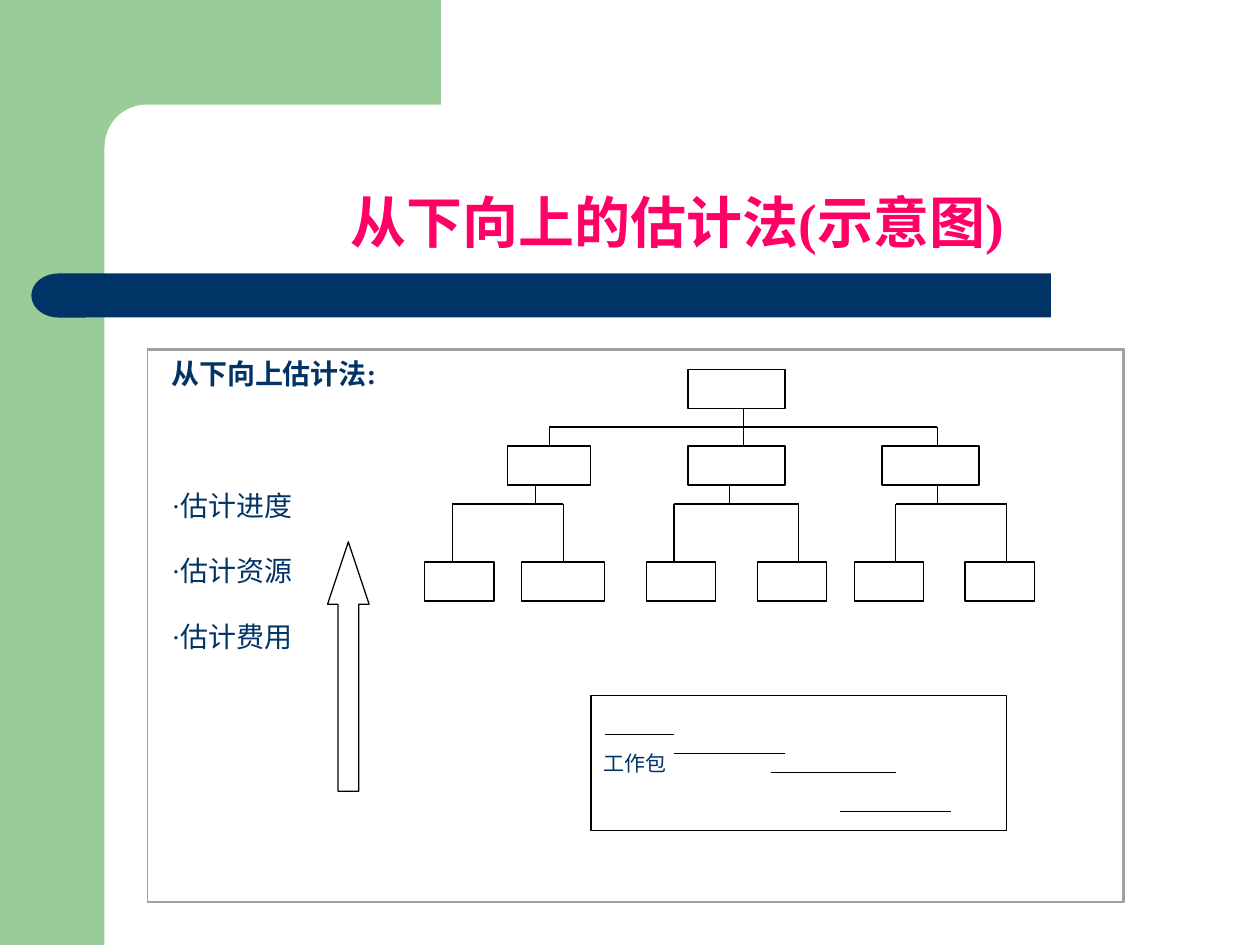
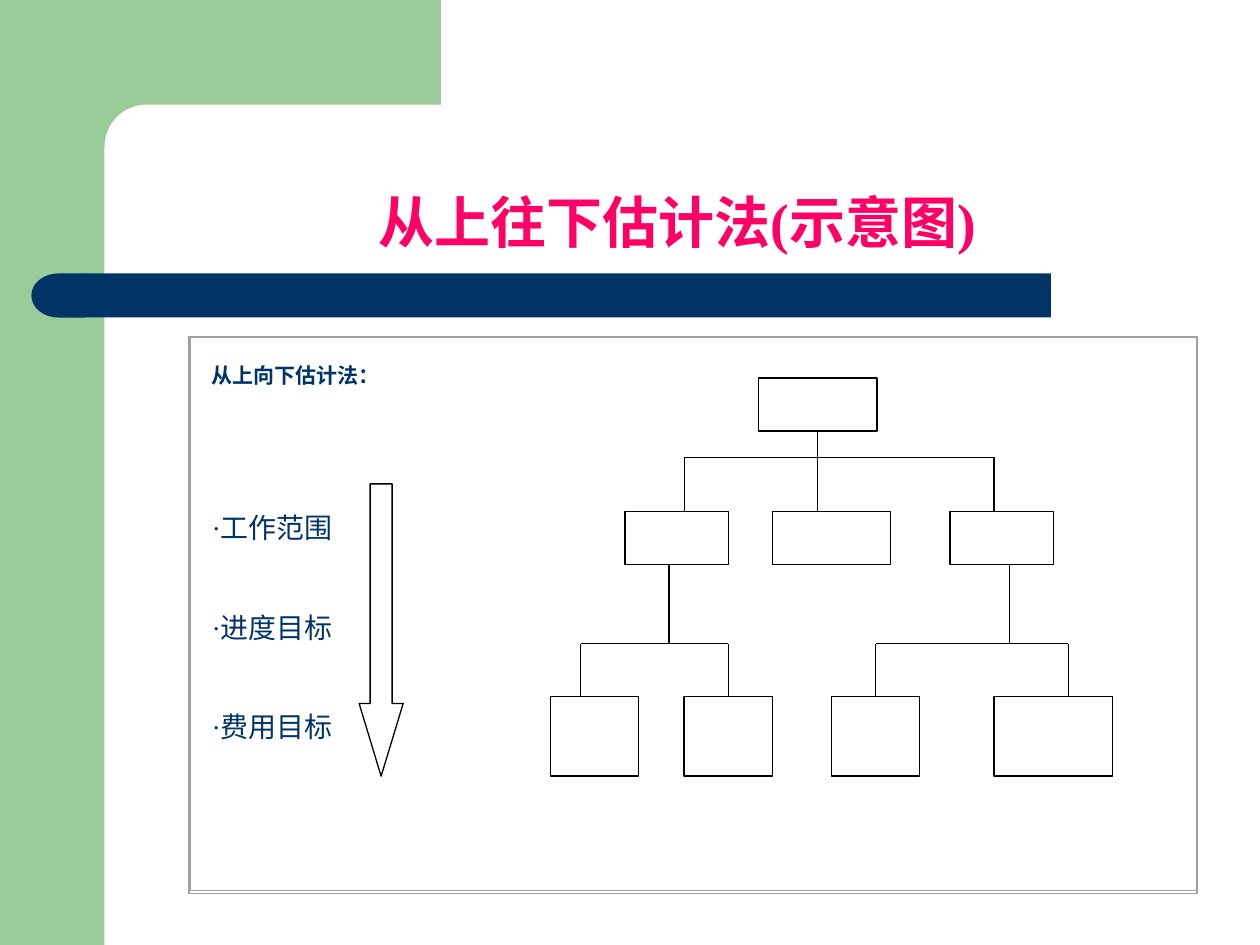
from pptx import Presentation
from pptx import util as u
from pptx.dml.color import RGBColor
from pptx.enum import shapes, text
from pptx.oxml.ns import qn
from lxml import etree

In, Pt = u.Inches, u.Pt
G = shapes.MSO_SHAPE
C = dict(green="99CC99", navy="003366", pink="FF0066", white="FFFFFF", black="000000", grey="A0A0A0")
TITLE = dict(name="Times New Roman", size=Pt(32), bold=True)
HEAD = dict(name="Times New Roman", bold=True)
ITEM = dict(name="Times New Roman", size=Pt(16), bold=False)
SMALL = dict(name="Times New Roman", size=Pt(12))


def box(s, at, fill="white", line="black", kind=G.RECTANGLE):
    sp = s.shapes.add_shape(kind, *map(In, at))
    sp.shadow.inherit = False
    if fill:
        sp.fill.solid()
        sp.fill.fore_color.rgb = RGBColor.from_string(C[fill])
    else:
        sp.fill.background()
    if line:
        sp.line.color.rgb = RGBColor.from_string(C[line])
        sp.line.width = Pt(0.75)
    else:
        sp.line.fill.background()
    return sp


def put(p, words, fmt, color):
    r = p.add_run()
    r.text = words
    for key, value in fmt.items():
        setattr(r.font, key, value)
    r.font.color.rgb = RGBColor.from_string(C[color])


# Box rows: top, height, [(left, width)]; rails: y, from x, to x; stems: from y, to y, [x]
SLIDES = [
    dict(
        title="从下向上的估计法(示意图)",
        body=(1.26, 2.78, 7.57, 3.03), head="从下向上估计法:", head_size=16,
        items=["·估计进度", "·估计资源", "·估计费用"], gaps=(56, 18.4, 18.4),
        arrow=(G.UP_ARROW, (2.6, 4.3, 0.33, 1.98), 1.5),
        rows=[(2.93, 0.31, [(5.46, 0.77)]),
              (3.54, 0.31, [(4.03, 0.66), (5.46, 0.77), (7, 0.77)]),
              (4.46, 0.31, [(3.37, 0.55), (4.14, 0.66), (5.13, 0.55),
                            (6.01, 0.55), (6.78, 0.55), (7.66, 0.55)])],
        rails=[(3.39, 4.36, 7.44), (4, 3.59, 4.47), (4, 5.35, 6.34), (4, 7.11, 7.99)],
        stems=[(3.24, 3.54, [5.9]), (3.39, 3.54, [4.36, 7.44]), (3.85, 4, [4.25, 5.79, 7.44]),
               (4, 4.46, [3.59, 4.47, 5.35, 6.34, 7.11, 7.99])],
        package=(4.69, 5.52, 3.3, 1.07),
        tasks=[(5.83, 4.8, 5.35), (5.98, 5.35, 6.23), (6.13, 6.12, 7.11), (6.44, 6.67, 7.55)],
        frames=[(1.17, 2.78, 7.74, 4.38), (1.17, 2.77, 7.75, 4.39)]),
    dict(
        title="从上往下估计法(示意图)",
        body=(1.58, 2.83, 6.69, 3.5), head="从上向下估计法：", head_size=12,
        items=["·工作范围", "·进度目标", "·费用目标"], gaps=(70, 37.8, 37.8),
        arrow=(G.DOWN_ARROW, (2.85, 3.84, 0.35, 2.32), 1.65),
        rows=[(3, 0.42, [(6.02, 0.94)]),
              (4.06, 0.42, [(4.96, 0.82), (6.13, 0.94), (7.54, 0.82)]),
              (5.53, 0.63, [(4.37, 0.7), (5.43, 0.7), (6.6, 0.7), (7.89, 0.94)])],
        rails=[(3.63, 5.43, 7.89), (5.11, 4.61, 5.78), (5.11, 6.95, 8.48)],
        stems=[(3.42, 4.06, [6.49]), (3.63, 4.06, [5.43, 7.89]), (4.48, 5.11, [5.31, 8.01]),
               (5.11, 5.53, [4.61, 5.78, 6.95, 8.48])],
        package=None, tasks=[],
        frames=[(1.51, 2.68, 7.99, 4.39), (1.5, 2.67, 8, 4.42)]),
]

prs = Presentation()
prs.slide_width, prs.slide_height = In(10), In(7.5)
layout = prs.slide_layouts[1]
pages = [prs.slides.add_slide(layout) for _ in SLIDES]

# Shared bands, moved to the layout behind its placeholders
bands = [
    (G.RECTANGLE, (0, 0, 0.83, 7.5), "green"),
    (G.RECTANGLE, (0.75, 0, 2.75, 1.17), "green"),
    (G.ROUNDED_RECTANGLE, (0.83, 0.83, 5.58, 0.67), "white"),
    (G.RECTANGLE, (0.67, 2.17, 7.67, 0.35), "navy"),
    (G.FLOWCHART_DELAY, (0.25, 2.17, 0.43, 0.35), "navy"),
]
for i, (kind, at, color) in enumerate(bands):
    sp = box(pages[0], at, color, None, kind)
    if kind == G.ROUNDED_RECTANGLE:
        sp.adjustments[0] = 0.5
    if kind == G.FLOWCHART_DELAY:
        sp._element.spPr.xfrm.set("flipH", "1")
    sp._element.nvSpPr.cNvPr.id = 100 + i
    layout.shapes.element.insert(2 + i, sp._element)

for s, d in zip(pages, SLIDES):
    # Title
    sp = s.shapes.title
    sp.left, sp.top, sp.width, sp.height = map(In, (1, 0.83, 8.75, 1.25))
    tf = sp.text_frame
    tf.auto_size = text.MSO_AUTO_SIZE.NONE
    tf.vertical_anchor = text.MSO_ANCHOR.BOTTOM
    p = tf.paragraphs[0]
    p.alignment, p.line_spacing = text.PP_ALIGN.CENTER, 0.9
    put(p, d["title"], TITLE, "pink")

    # Heading and list
    sp = s.placeholders[1]
    sp.left, sp.top, sp.width, sp.height = map(In, d["body"])
    tf = sp.text_frame
    tf.auto_size = text.MSO_AUTO_SIZE.NONE
    for i, words in enumerate([d["head"]] + d["items"]):
        p = tf.add_paragraph() if i else tf.paragraphs[0]
        p.space_before = Pt(d["gaps"][i - 1] if i else 0)
        pPr = p._p.get_or_add_pPr()
        pPr.set("marL", "0")
        pPr.set("indent", "0")
        etree.SubElement(pPr, qn("a:buNone"))
        put(p, words, ITEM if i else dict(HEAD, size=Pt(d["head_size"])), "navy")

    # Direction arrow
    kind, at, head_length = d["arrow"]
    sp = box(s, at, kind=kind)
    sp.adjustments[0], sp.adjustments[1] = 0.5, head_length

    # Work package
    if d["package"]:
        tf = box(s, d["package"]).text_frame
        tf.vertical_anchor = text.MSO_ANCHOR.MIDDLE
        tf.paragraphs[0].alignment = text.PP_ALIGN.LEFT
        put(tf.paragraphs[0], "工作包", SMALL, "navy")

    # Tree boxes, with the middle of each top and bottom side
    joints = []
    for top, height, cells in d["rows"]:
        for left, width in cells:
            sp = box(s, (left, top, width, height))
            middle = left + width / 2
            joints += [(middle, top, sp, 0), (middle, top + height, sp, 2)]

    # Tree lines and task bars, joined where they meet a middle
    lines = [(x1, y, x2, y) for y, x1, x2 in d["rails"] + d["tasks"]]
    lines += [(x, y1, x, y2) for y1, y2, xs in d["stems"] for x in xs]
    for x1, y1, x2, y2 in lines:
        cn = s.shapes.add_connector(shapes.MSO_CONNECTOR.STRAIGHT, *map(In, (x1, y1, x2, y2)))
        cn.line.color.rgb = RGBColor.from_string(C["black"])
        cn.line.width = Pt(0.75)
        etree.SubElement(cn._element.spPr, qn("a:effectLst"))
        for x, y, sp, side in joints:
            for join, ex, ey in ((cn.begin_connect, x1, y1), (cn.end_connect, x2, y2)):
                if x1 == x2 and abs(x - ex) < 0.01 and abs(y - ey) < 0.01:
                    join(sp, side)

    # Double frame
    for at in d["frames"]:
        box(s, at, None, "grey")

prs.save("out.pptx")
